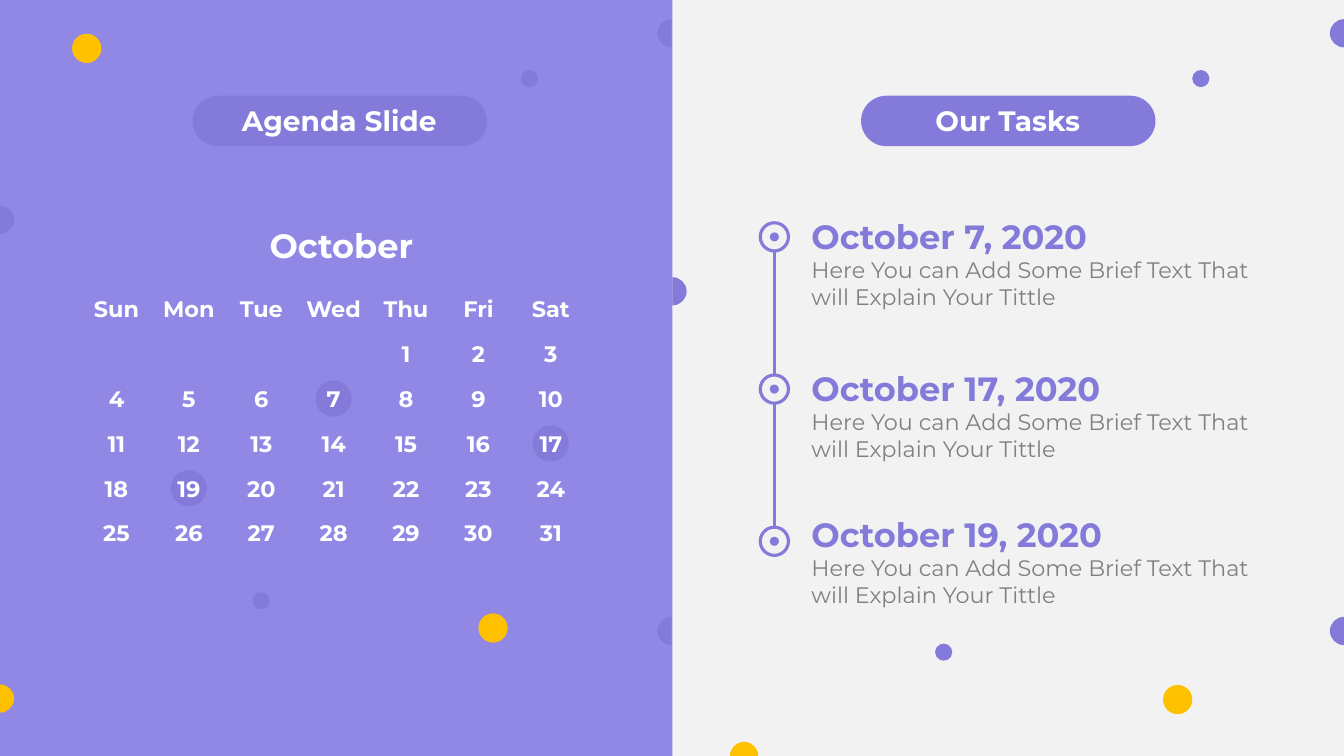
from math import cos, radians, sin

from lxml import etree
from pptx import Presentation
from pptx.dml.color import RGBColor
from pptx.enum.shapes import MSO_CONNECTOR, MSO_SHAPE
from pptx.enum.text import MSO_AUTO_SIZE, PP_ALIGN
from pptx.oxml.ns import qn
from pptx.util import Inches, Pt

FONT = "Montserrat"
COLORS = {
    "paper": "F2F2F2",
    "panel": "9188E5",
    "accent": "837AD9",
    "gold": "FFC000",
    "white": "FFFFFF",
    "gray": "808080",
}

# Content
HEADINGS = [("Agenda Slide", 1.91), ("Our Tasks", 8.54)]  # text, pill left
MONTH = "October"
WEEKDAYS = ["Sun", "Mon", "Tue", "Wed", "Thu", "Fri", "Sat"]
FIRST_WEEKDAY, DAY_COUNT = 4, 31
BRIEF = "Here You can Add Some Brief Text That will Explain Your Tittle"
TASKS = [(7, 2.09), (17, 3.6), (19, 5.05)]  # day, title top

# Decoration: centre x, centre y, diameter, colour
DOTS = [
    (0.86, 0.48, 0.29, "gold"), (4.89, 6.23, 0.29, "gold"),
    (11.68, 6.94, 0.29, "gold"), (2.59, 5.96, 0.17, "accent"),
    (5.25, 0.78, 0.17, "accent"), (11.91, 0.78, 0.17, "accent"),
    (9.36, 6.47, 0.17, "accent"),
]
# Edge decoration: flat side's centre x and y, bulge angle, colour
RIGHT, LEFT, UP = 0, 180, 270
HALF_DOTS = [
    (0, 6.93, RIGHT, "gold"), (0, 2.18, RIGHT, "accent"),
    (6.66, 0.33, LEFT, "accent"), (6.66, 6.26, LEFT, "accent"),
    (7.38, 7.5, UP, "gold"), (6.67, 2.89, RIGHT, "accent"),
    (13.33, 0.33, LEFT, "accent"), (13.33, 6.26, LEFT, "accent"),
]
# Unit half disc bulging right: its flat side, then two curves of three points
HALF_DISC = [(0, 1), (0, -1), (0.55, -1), (1, -0.55), (1, 0),
             (1, 0.55), (0.55, 1), (0, 1)]

# Layout
HALF_RADIUS = 0.14
CELL_W, CELL_H = 0.79, 0.37
GRID_X, GRID_Y, COL_STEP, ROW_STEP = 0.76, 2.88, 0.718, 0.445
TIMELINE_X, TIMELINE_Y, TIMELINE_STEP, RING = 7.68, 2.35, 1.51, 0.28

prs = Presentation()
prs.slide_width, prs.slide_height = Inches(13.33), Inches(7.5)
slide = prs.slides.add_slide(prs.slide_layouts[6])
shapes = slide.shapes


def color(name):
    """Return a palette colour."""
    return RGBColor.from_string(COLORS[name])


def paint(sp, fill=None, line=None):
    """Set a shape's fill and outline and drop its shadow."""
    sp.shadow.inherit = False
    if fill:
        sp.fill.solid()
        sp.fill.fore_color.rgb = color(fill)
    else:
        sp.fill.background()
    if line:
        sp.line.color.rgb = color(line)
        sp.line.width = Pt(2.25)
    else:
        sp.line.fill.background()


def add_box(kind, x, y, w, h, fill):
    """Add a filled preset shape."""
    sp = shapes.add_shape(kind, Inches(x), Inches(y), Inches(w), Inches(h))
    paint(sp, fill)
    return sp


def add_circle(cx, cy, size, fill=None, line=None):
    """Add a circle around a centre point."""
    sp = shapes.add_shape(MSO_SHAPE.OVAL, Inches(cx - size / 2),
                          Inches(cy - size / 2), Inches(size), Inches(size))
    paint(sp, fill, line)


def add_half_dot(cx, cy, angle, fill):
    """Add a half disc that bulges towards an angle."""
    c, s = cos(radians(angle)), sin(radians(angle))
    points = [(Inches(cx + HALF_RADIUS * (x * c - y * s)),
               Inches(cy + HALF_RADIUS * (x * s + y * c))) for x, y in HALF_DISC]
    builder = shapes.build_freeform(*points[0])
    builder.add_line_segments(points[1:], close=True)
    sp = builder.convert_to_shape()
    segments = list(sp._element.iter(qn("a:lnTo")))[1:7]
    for first in (0, 3):
        curve = etree.Element(qn("a:cubicBezTo"))
        segments[first].addprevious(curve)
        for segment in segments[first:first + 3]:
            curve.append(segment[0])
            segment.getparent().remove(segment)
    paint(sp, fill)


def add_text(text, x, y, w, h, size, ink="white", bold=True,
             align=PP_ALIGN.CENTER, parent=shapes):
    """Add a one-paragraph text box to the slide or a group."""
    tf = parent.add_textbox(Inches(x), Inches(y), Inches(w), Inches(h)).text_frame
    tf.word_wrap = True
    tf.auto_size = MSO_AUTO_SIZE.SHAPE_TO_FIT_TEXT
    p = tf.paragraphs[0]
    p.text, p.alignment = text, align
    font = p.runs[0].font
    font.name, font.size, font.bold = FONT, Pt(size), bold
    font.color.rgb = color(ink)


def add_timeline_link(top, bottom):
    """Add a vertical line between two timeline rings."""
    line = shapes.add_connector(MSO_CONNECTOR.STRAIGHT, Inches(TIMELINE_X),
                                Inches(top), Inches(TIMELINE_X), Inches(bottom))
    line.line.color.rgb = color("accent")
    line.line.width = Pt(2.25)
    etree.SubElement(line._element.spPr, qn("a:effectLst"))


def add_calendar_cell(text, col, row, marked=False):
    """Add a calendar entry, on a disc when it is a task day."""
    x, y = GRID_X + col * COL_STEP, GRID_Y + row * ROW_STEP
    if marked:
        add_circle(x + CELL_W / 2, y + CELL_H / 2, 0.36, "accent")
    add_text(text, x, y, CELL_W, CELL_H, 16)


slide.background.fill.solid()
slide.background.fill.fore_color.rgb = color("paper")
add_box(MSO_SHAPE.RECTANGLE, 0, 0, 6.67, 7.5, "panel")

for heading, left in HEADINGS:
    pill = add_box(MSO_SHAPE.ROUNDED_RECTANGLE, left, 0.95, 2.92, 0.5, "accent")
    pill.adjustments[0] = 0.5
    add_text(heading, left + 0.28, 0.98, 2.35, 0.44, 20)

for dot in DOTS:
    add_circle(*dot)
for half_dot in HALF_DOTS:
    add_half_dot(*half_dot)

add_text(MONTH, 2.28, 2.18, 2.21, 0.5, 24)
for col, weekday in enumerate(WEEKDAYS):
    add_calendar_cell(weekday, col, 0)
task_days = [day for day, _ in TASKS]
for day in range(1, DAY_COUNT + 1):
    week, col = divmod(FIRST_WEEKDAY + day - 1, len(WEEKDAYS))
    add_calendar_cell(str(day), col, week + 1, day in task_days)

for i, (day, top) in enumerate(TASKS):
    cy = TIMELINE_Y + i * TIMELINE_STEP
    if i:
        add_timeline_link(cy - TIMELINE_STEP + RING / 2, cy - RING / 2)
    add_circle(TIMELINE_X, cy, 0.09, "accent")
    add_circle(TIMELINE_X, cy, RING, line="accent")
    task = shapes.add_group_shape().shapes
    add_text(f"{MONTH} {day}, 2020", 7.95, top, 3.8, 0.5, 24, "accent",
             align=PP_ALIGN.LEFT, parent=task)
    add_text(BRIEF, 7.95, top + 0.4, 4.55, 0.64, 16, "gray", False,
             PP_ALIGN.LEFT, task)

prs.save("out.pptx")
